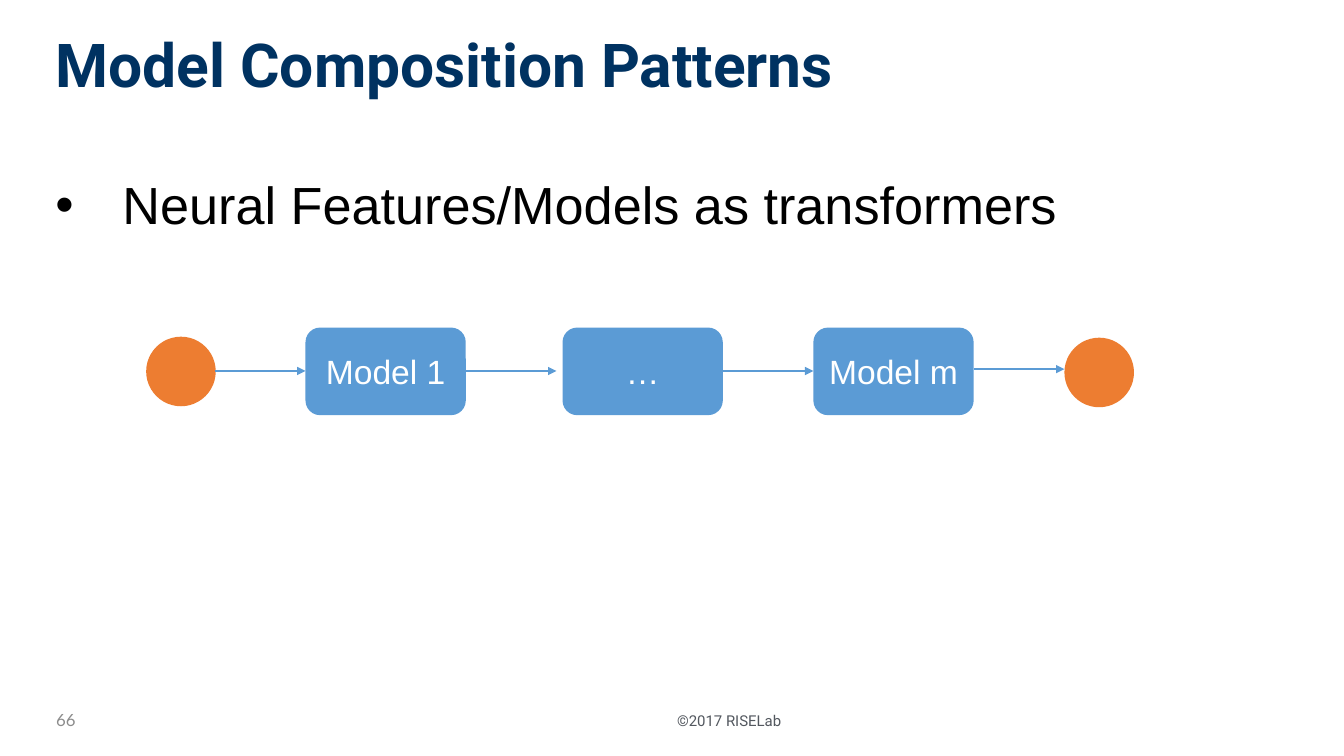
from typing import NamedTuple

from lxml.etree import SubElement
from pptx import Presentation
from pptx.dml.color import RGBColor
from pptx.enum.shapes import MSO_CONNECTOR, MSO_SHAPE
from pptx.enum.text import MSO_ANCHOR, MSO_AUTO_SIZE, PP_ALIGN
from pptx.oxml.ns import qn
from pptx.util import Pt

HUES = {
    "navy": "003261", "ink": "000000", "white": "FFFFFF", "blue": "5B9BD5",
    "orange": "ED7D31", "gray": "8C8C8C", "slate": "53585F",
}


class Type(NamedTuple):
    font: str
    size: float
    hue: str
    bold: bool = False


class Node(NamedTuple):
    kind: MSO_SHAPE
    left: float
    top: float
    wide: float
    high: float
    hue: str
    text: str = ""


class Arrow(NamedTuple):
    start: float
    end: float
    y: float
    width: float


def hue(name: str) -> RGBColor:
    return RGBColor.from_string(HUES[name])


def write(shape, text: str, look: Type, align=PP_ALIGN.LEFT,
          anchor=MSO_ANCHOR.TOP, inset: float = 7.2, wrap: bool = True):
    """Fill a shape with one paragraph and return that paragraph."""
    frame = shape.text_frame
    frame.auto_size = MSO_AUTO_SIZE.NONE
    frame.word_wrap = wrap
    frame.vertical_anchor = anchor
    frame.margin_left = frame.margin_right = Pt(inset)
    frame.margin_top = frame.margin_bottom = Pt(inset)
    line = frame.paragraphs[0]
    line.alignment = align
    run = line.add_run()
    run.text = text
    run.font.name = look.font
    run.font.size = Pt(look.size)
    run.font.bold = look.bold
    run.font.color.rgb = hue(look.hue)
    return line


def bullet(line, indent: float) -> None:
    props = line._p.get_or_add_pPr()
    props.set("marL", str(Pt(indent)))
    props.set("indent", str(Pt(-indent)))
    SubElement(props, qn("a:buFont"), typeface="Arial")
    SubElement(props, qn("a:buChar"), char="•")


def draw_node(shapes, node: Node) -> None:
    box = shapes.add_shape(node.kind, Pt(node.left), Pt(node.top),
                           Pt(node.wide), Pt(node.high))
    box.shadow.inherit = False
    box.fill.solid()
    box.fill.fore_color.rgb = hue(node.hue)
    box.line.fill.background()
    if node.text:
        write(box, node.text, Type("Arial", 24, "white"), PP_ALIGN.CENTER,
              MSO_ANCHOR.MIDDLE, 3.6)


def draw_arrow(shapes, arrow: Arrow) -> None:
    link = shapes.add_connector(MSO_CONNECTOR.STRAIGHT, Pt(arrow.start),
                                Pt(arrow.y), Pt(arrow.end), Pt(arrow.y))
    link.line.color.rgb = hue("blue")
    link.line.width = Pt(arrow.width)
    SubElement(link.line._get_or_add_ln(), qn("a:tailEnd"), type="triangle")
    SubElement(link._element.spPr, qn("a:effectLst"))


def main() -> None:
    deck = Presentation()
    deck.slide_width, deck.slide_height = Pt(960), Pt(540)
    slide = deck.slides.add_slide(deck.slide_layouts[5])
    shapes = slide.shapes

    # Title
    title = shapes.title
    title.left, title.top = Pt(32.4), Pt(18)
    title.width, title.height = Pt(894.2), Pt(60.5)
    head = write(title, "Model Composition Patterns",
                 Type("Roboto", 43.2, "navy", True))
    head.line_spacing = 0.9

    # Body
    body = shapes.add_textbox(Pt(32.4), Pt(121), Pt(894.2), Pt(358.6))
    point = write(body, "Neural Features/Models as transformers",
                  Type("Arial", 37.3, "ink"))
    point.line_spacing = 0.9
    bullet(point, 48)

    # Model chain
    dot, card = MSO_SHAPE.OVAL, MSO_SHAPE.ROUNDED_RECTANGLE
    cards = [(218.2, "Model 1"), (401.8, "…"), (581, "Model m")]
    nodes = [Node(dot, 104.4, 240.5, 49.7, 49.7, "orange")]
    nodes += [Node(card, left, 234, 114.5, 62.6, "blue", text)
              for left, text in cards]
    nodes.append(Node(dot, 760.3, 241.2, 49.7, 49.7, "orange"))
    for node in nodes:
        draw_node(shapes, node)

    arrows = [
        Arrow(153.4, 218.2, 265, 1), Arrow(332.7, 397.5, 265, 2),
        Arrow(516.3, 581, 265, 2), Arrow(695.5, 760.3, 263.7, 1),
    ]
    for arrow in arrows:
        draw_arrow(shapes, arrow)

    # Footer and page number
    foot = shapes.add_textbox(Pt(480.2), Pt(506.2), Pt(81.4), Pt(17.3))
    write(foot, "©2017 RISELab", Type("Roboto", 10.7, "slate"),
          PP_ALIGN.CENTER, MSO_ANCHOR.MIDDLE, 2.2, False)
    page = shapes.add_textbox(Pt(3.6), Pt(494), Pt(57.6), Pt(41))
    write(page, "66", Type("Lato", 12, "gray"), PP_ALIGN.RIGHT,
          MSO_ANCHOR.MIDDLE)

    deck.save("out.pptx")


if __name__ == "__main__":
    main()
